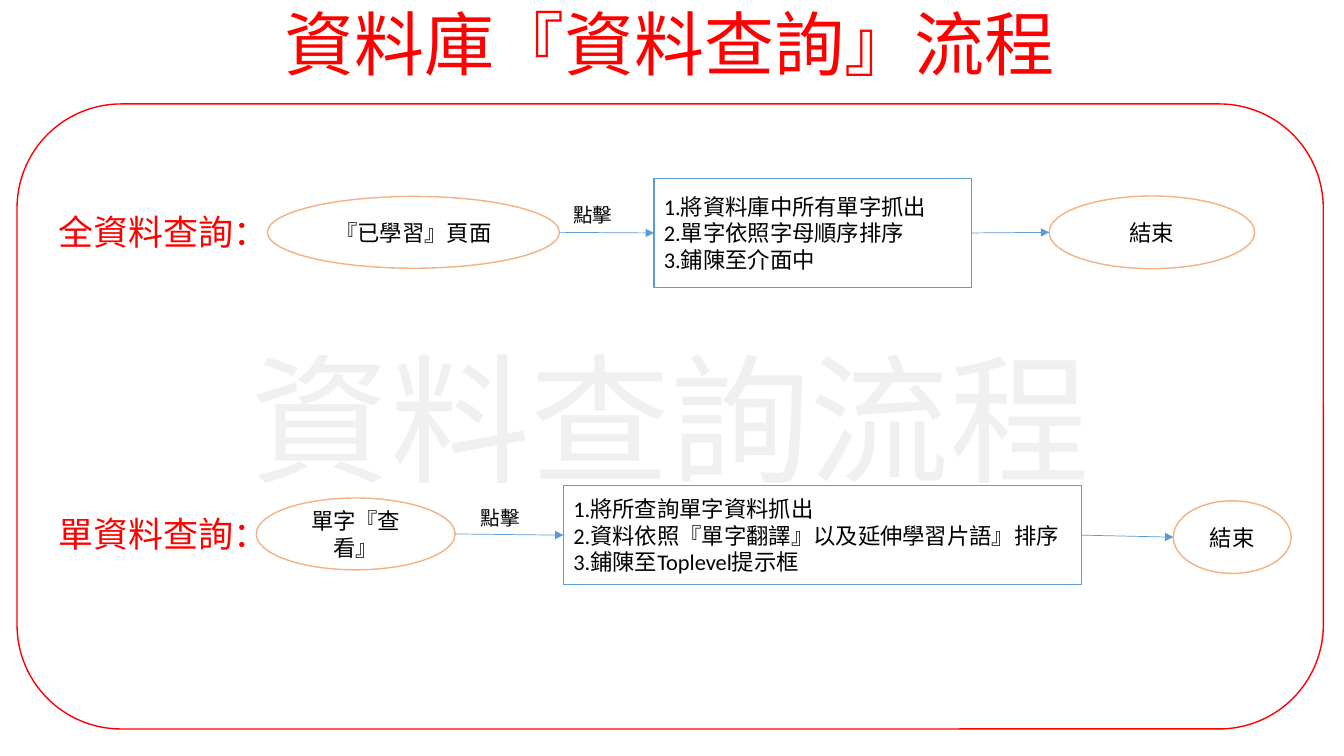
from dataclasses import dataclass

import pptx
import pptx.dml.color
import pptx.enum.shapes
import pptx.enum.text
import pptx.oxml
import pptx.oxml.ns
import pptx.util
from pptx.util import Cm

SHAPE = pptx.enum.shapes.MSO_SHAPE
ALIGN = pptx.enum.text.PP_ALIGN
ANCHOR = pptx.enum.text.MSO_ANCHOR
FONT = "Calibri"
RED, BLACK, ORANGE, BLUE = "FF0000", "000000", "F4B183", "5B9BD5"


@dataclass
class Area:
    """Position and size in centimetres."""
    left: float
    top: float
    width: float
    height: float

    def lengths(self) -> tuple:
        return Cm(self.left), Cm(self.top), Cm(self.width), Cm(self.height)


@dataclass
class Flow:
    """One query process, read from left to right."""
    heading: str
    heading_area: Area
    start: str
    start_area: Area
    action_area: Area
    steps: str
    steps_area: Area
    end_area: Area


FLOWS = [
    Flow("全資料查詢：", Area(1.22, 5.18, 5.51, 1.32),
         "『已學習』頁面", Area(6.74, 4.95, 7.36, 1.81),
         Area(14.2, 5, 1.75, 0.86),
         "1.將資料庫中所有單字抓出\n2.單字依照字母順序排序\n3.鋪陳至介面中",
         Area(16.48, 4.5, 8, 2.74), Area(26.44, 4.94, 5.18, 1.83)),
    Flow("單資料查詢：", Area(1.22, 12.8, 5.51, 1.32),
         "單字『查看』", Area(6.46, 12.55, 5.01, 1.81),
         Area(11.86, 12.62, 1.75, 0.86),
         "1.將所查詢單字資料抓出\n2.資料依照『單字翻譯』以及延伸學習片語』排序\n3.鋪陳至Toplevel提示框",
         Area(14.2, 12.24, 13.06, 2.49), Area(29.57, 12.62, 2.97, 1.83)),
]


def colour(value: str) -> pptx.dml.color.RGBColor:
    return pptx.dml.color.RGBColor.from_string(value)


def write(frame, text: str, *, size: float, shade: str = BLACK, align=ALIGN.LEFT,
          anchor=ANCHOR.TOP, spacing=None, before=None, alpha=None) -> None:
    """Fill a text frame, one paragraph for each line of the text."""
    frame.word_wrap = True
    frame.vertical_anchor = anchor
    for index, line in enumerate(text.split("\n")):
        para = frame.add_paragraph() if index else frame.paragraphs[0]
        para.alignment = align
        para.line_spacing = spacing
        if before is not None:
            para.space_before = pptx.util.Pt(before)
        span = para.add_run()
        span.text = line
        span.font.name = FONT
        span.font.size = pptx.util.Pt(size)
        span.font.color.rgb = colour(shade)
        if alpha is not None:
            tint = span.font.fill._xPr.find(".//" + pptx.oxml.ns.qn("a:srgbClr"))
            opacity = pptx.oxml.parse_xml(
                f'<a:alpha {pptx.oxml.ns.nsdecls("a")} val="{alpha * 1000}"/>')
            tint.append(opacity)


def add_label(page, area: Area, text: str, **text_format):
    box = page.shapes.add_textbox(*area.lengths())
    write(box.text_frame, text, **text_format)
    return box


def add_outline(page, preset, area: Area, line: str, text: str, **text_format):
    """Draw an unfilled preset shape with text inside."""
    box = page.shapes.add_shape(preset, *area.lengths())
    box.shadow.inherit = False
    box.fill.background()
    box.line.color.rgb = colour(line)
    box.line.width = pptx.util.Pt(1)
    write(box.text_frame, text, anchor=ANCHOR.MIDDLE, **text_format)
    return box


def add_arrow(page, source, target):
    """Draw an arrow from the right of one shape to the left of the next."""
    arrow = page.shapes.add_connector(
        pptx.enum.shapes.MSO_CONNECTOR.STRAIGHT,
        source.left + source.width, source.top + source.height // 2,
        target.left, target.top + target.height // 2)
    if source.auto_shape_type == SHAPE.RECTANGLE:
        arrow.begin_connect(source, 3)
    if target.auto_shape_type == SHAPE.RECTANGLE:
        arrow.end_connect(target, 1)
    arrow.line.color.rgb = colour(BLUE)
    arrow.line.width = pptx.util.Pt(0.5)
    names = pptx.oxml.ns.nsdecls("a")
    arrow.line._get_or_add_ln().append(
        pptx.oxml.parse_xml(f'<a:tailEnd {names} type="triangle"/>'))
    arrow._element.spPr.append(pptx.oxml.parse_xml(f"<a:effectLst {names}/>"))


def add_flow(page, flow: Flow) -> None:
    add_label(page, flow.heading_area, flow.heading, size=25, shade=RED)
    start = add_outline(page, SHAPE.OVAL, flow.start_area, ORANGE, flow.start,
                        size=16, align=ALIGN.CENTER)
    steps = add_outline(page, SHAPE.RECTANGLE, flow.steps_area, BLUE, flow.steps, size=16)
    end = add_outline(page, SHAPE.OVAL, flow.end_area, ORANGE, "結束",
                      size=16, align=ALIGN.CENTER)
    add_arrow(page, start, steps)
    add_arrow(page, steps, end)
    add_label(page, flow.action_area, "點擊", size=14)


def main() -> None:
    deck = pptx.Presentation()
    deck.slide_width, deck.slide_height = Cm(33.87), Cm(19.05)
    page = deck.slides.add_slide(deck.slide_layouts[6])

    # Panel with its faint caption, then the title
    add_outline(page, SHAPE.ROUNDED_RECTANGLE, Area(0.43, 2.62, 32.92, 15.75), RED,
                "資料查詢流程", size=100, align=ALIGN.CENTER, alpha=5)
    add_label(page, Area(4.17, 0.13, 25.4, 1.93), "資料庫『資料查詢』流程",
              size=50, shade=RED, align=ALIGN.CENTER, spacing=0.9, before=10)

    # Query processes
    for flow in FLOWS:
        add_flow(page, flow)

    deck.save("out.pptx")


if __name__ == "__main__":
    main()
